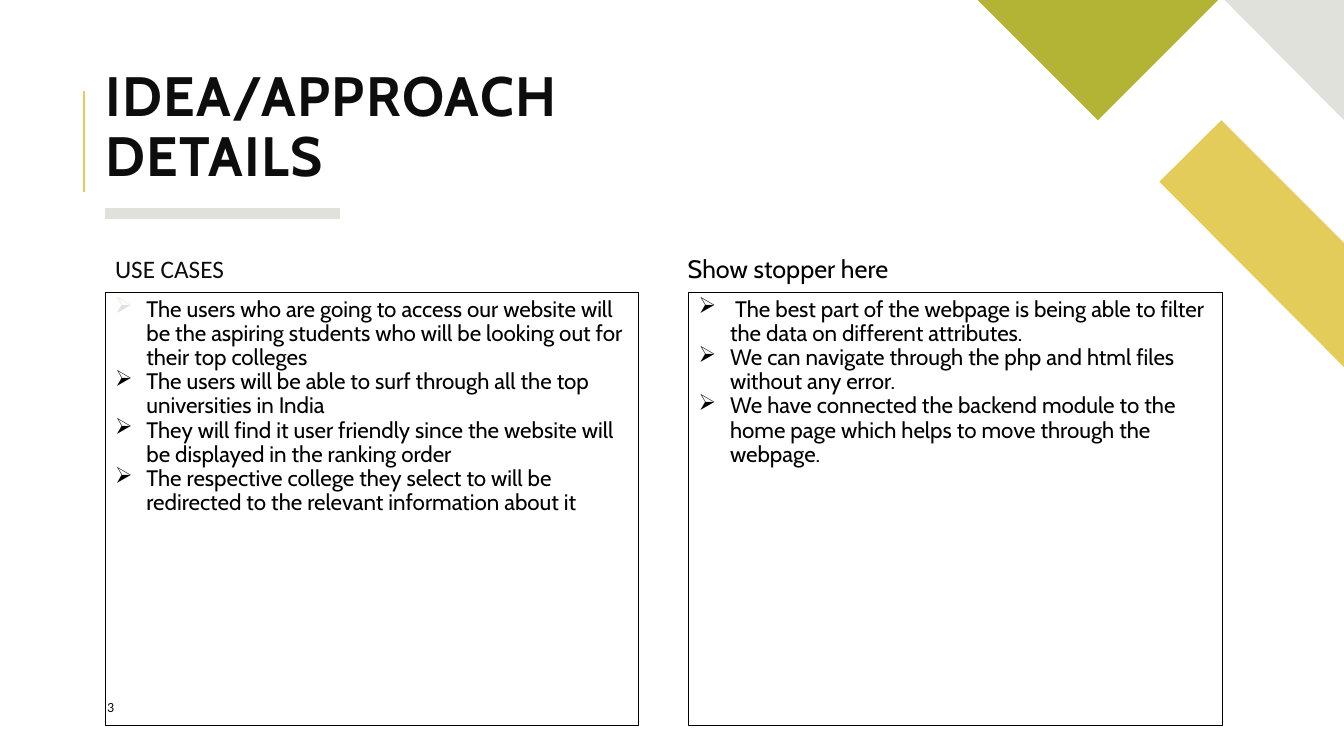
import pptx
import pptx.util
import pptx.dml.color
import pptx.enum.shapes
import pptx.enum.text
import pptx.oxml
import pptx.oxml.ns

Cm = pptx.util.Cm
Pt = pptx.util.Pt
RGBColor = pptx.dml.color.RGBColor

BLACK = RGBColor(0x00, 0x00, 0x00)
INK = RGBColor(0x0D, 0x0D, 0x0D)
GOLD = RGBColor(0xE3, 0xCC, 0x5A)
GREY = RGBColor(0xE1, 0xE1, 0xDB)
OLIVE = RGBColor(0xB3, 0xB4, 0x35)

LEFT = 2.65
INSETS = (0.25, 0.13, 0.25, 0.13)
NO_INSETS = (0, 0, 0, 0)
NAMESPACE = pptx.oxml.ns.nsdecls("a")

presentation = pptx.Presentation()
presentation.slide_width = Cm(33.87)
presentation.slide_height = Cm(19.05)
slide = presentation.slides.add_slide(presentation.slide_layouts[6])


def fill_text(shape, insets, texts, font_values, line_spacing=0.9):
    frame = shape.text_frame
    frame.word_wrap = True
    frame.vertical_anchor = pptx.enum.text.MSO_ANCHOR.TOP
    for side, inset in zip(("left", "top", "right", "bottom"), insets):
        setattr(frame, f"margin_{side}", Cm(inset))
    for index, text in enumerate(texts):
        paragraph = frame.add_paragraph() if index else frame.paragraphs[0]
        paragraph.alignment = pptx.enum.text.PP_ALIGN.LEFT
        paragraph.line_spacing = line_spacing
        run = paragraph.add_run()
        run.text = text
        for name, value in font_values.items():
            if name == "color":
                run.font.color.rgb = value
            else:
                setattr(run.font, name, value)
    return frame


def add_bullet(paragraph, color):
    properties = paragraph._p.get_or_add_pPr()
    properties.set("marL", str(Cm(0.79)))
    properties.set("indent", str(-Cm(0.79)))
    for markup in (
        f'<a:buClr {NAMESPACE}><a:srgbClr val="{color}"/></a:buClr>',
        f'<a:buFont {NAMESPACE} typeface="Wingdings" pitchFamily="2" charset="2"/>',
        f'<a:buChar {NAMESPACE} char="Ø"/>',
    ):
        properties.append(pptx.oxml.parse_xml(markup))


accent_lines = [
    ((2.11, 4.83), (2.11, 2.29), GOLD, 1.5),
    ((LEFT, 5.39), (8.58, 5.39), GREY, 8),
]
for start, end, color, width in accent_lines:
    connector = slide.shapes.add_connector(
        pptx.enum.shapes.MSO_CONNECTOR.STRAIGHT, *map(Cm, start + end)
    )
    connector.line.color.rgb = color
    connector.line.width = Pt(width)
    connector._element.spPr.append(
        pptx.oxml.parse_xml(f"<a:effectLst {NAMESPACE}/>")
    )

corner_pieces = [
    (GOLD, [(3387, 925), (3387, 612), (3078, 303), (2922, 458)]),
    (GREY, [(3387, 303), (3387, 0), (3086, 0)]),
    (OLIVE, [(2464, 0), (2767, 303), (3070, 0)]),
]
for color, points in corner_pieces:
    builder = slide.shapes.build_freeform(*points[0], scale=Cm(0.01))
    builder.add_line_segments(points[1:], close=True)
    piece = builder.convert_to_shape()
    piece.shadow.inherit = False
    piece.fill.solid()
    piece.fill.fore_color.rgb = color
    piece.line.fill.background()

title = slide.shapes.add_textbox(Cm(LEFT), Cm(3.05), Cm(16.05), Cm(1.7))
title_font = {"name": "Cabin", "size": Pt(39.6), "bold": True, "color": INK}
title_frame = fill_text(title, NO_INSETS, ["IDEA/APPROACH DETAILS"], title_font)
title_frame.vertical_anchor = pptx.enum.text.MSO_ANCHOR.BOTTOM
title_frame.paragraphs[0].runs[0].font._element.set("spc", "100")

headings = [
    (LEFT, 13.44, "USE CASES", "Calibri", INK),
    (16.94, 14.27, " Show stopper here", "Cabin", BLACK),
]
for left, width, text, font_name, color in headings:
    heading = slide.shapes.add_textbox(Cm(left), Cm(6.35), Cm(width), Cm(0.89))
    heading_font = {"name": font_name, "size": Pt(18), "color": color}
    fill_text(heading, INSETS, [text], heading_font)

panels = [
    (LEFT, GREY, [
        "The users who are going to access our website will be the aspiring students who will be looking out for their top colleges",
        "The users will be able to surf through all the top universities in India",
        "They will find it user friendly since the website will be displayed in the ranking order",
        "The respective college they select to will be redirected to the relevant information about it",
    ]),
    (17.36, BLACK, [
        " The best part of the webpage is being able to filter the data on different attributes.",
        "We can navigate through the php and html files without any error.",
        "We have connected the backend module to the home page which helps to move through the webpage.",
    ]),
]
panel_font = {"name": "Cabin", "size": Pt(16), "color": BLACK}
for left, first_bullet_color, texts in panels:
    panel = slide.shapes.add_shape(
        pptx.enum.shapes.MSO_SHAPE.RECTANGLE, Cm(left), Cm(7.38), Cm(13.44), Cm(10.9)
    )
    panel.shadow.inherit = False
    panel.fill.background()
    panel.line.color.rgb = BLACK
    panel.line.width = Pt(0.75)
    panel_frame = fill_text(panel, INSETS, texts, panel_font)
    for index, paragraph in enumerate(panel_frame.paragraphs):
        add_bullet(paragraph, BLACK if index else first_bullet_color)

page_number = slide.shapes.add_textbox(Cm(2.7), Cm(17.59), Cm(1.45), Cm(0.69))
number_font = {"name": "Calibri", "size": Pt(10), "color": INK}
fill_text(page_number, NO_INSETS, ["3"], number_font, line_spacing=1.0)

presentation.save("out.pptx")
